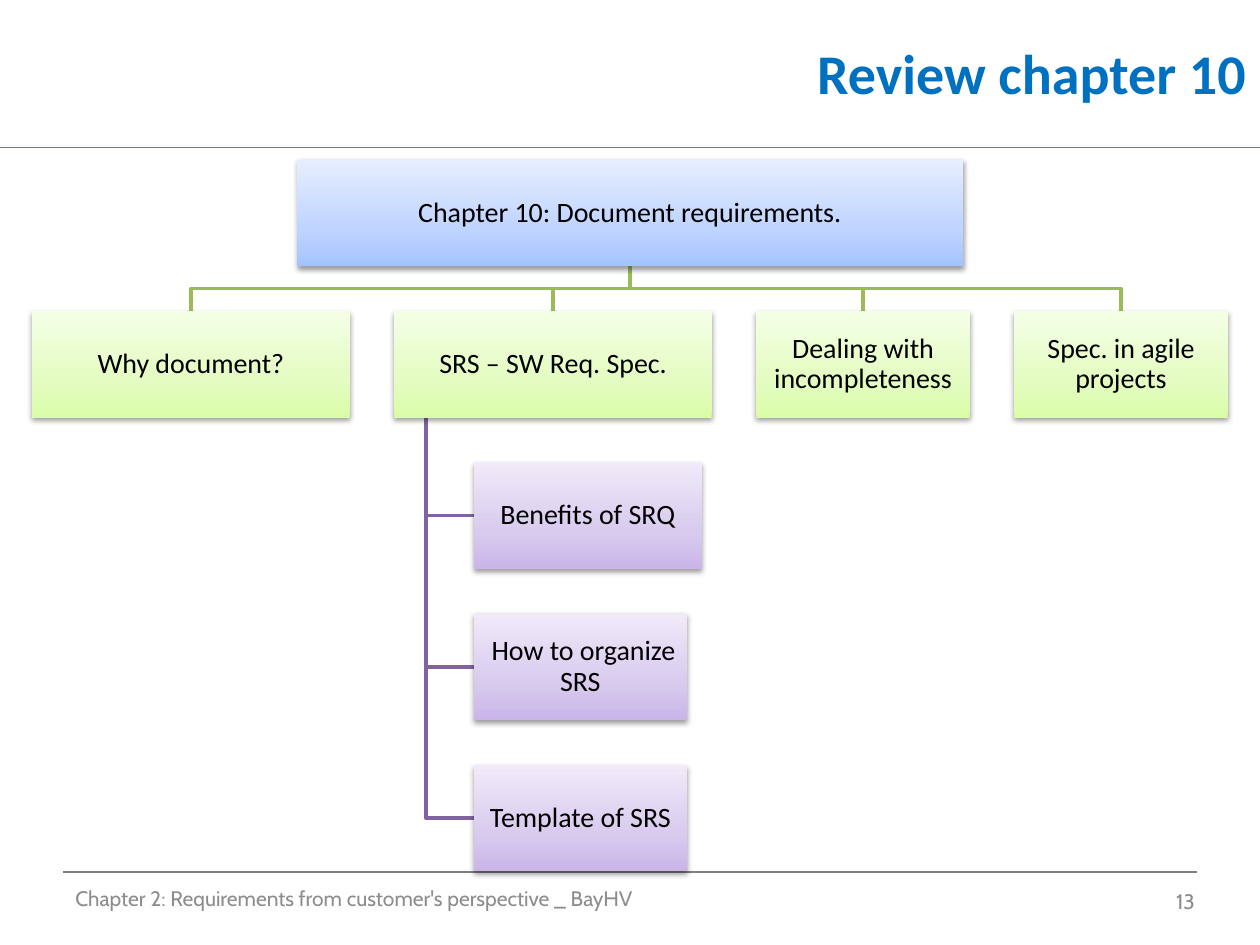
from copy import deepcopy

from lxml import etree
from pptx import Presentation
from pptx.dml.color import RGBColor
from pptx.enum.shapes import MSO_CONNECTOR, MSO_SHAPE
from pptx.enum.text import MSO_ANCHOR, PP_ALIGN
from pptx.oxml.ns import qn
from pptx.util import Cm, Pt

LEFT, MID, RIGHT = PP_ALIGN.LEFT, PP_ALIGN.CENTER, PP_ALIGN.RIGHT
MIDDLE = MSO_ANCHOR.MIDDLE
RECT, STRAIGHT = MSO_SHAPE.RECTANGLE, MSO_CONNECTOR.STRAIGHT

# Content: box text and width in cm
TITLE = "Review chapter 10"
ROOT = ("Chapter 10: Document requirements.", 13.44)
TOPICS = [
    ("Why document?", 6.4),
    ("SRS – SW Req. Spec.", 6.4),
    ("Dealing with incompleteness", 4.3),
    ("Spec. in agile projects", 4.3),
]
PARTS = [
    ("Benefits of SRQ", 4.6),
    (" How to organize SRS", 4.3),
    ("Template of SRS", 4.3),
]
OWNER = 1  # topic that the parts hang from
FOOTER = "Chapter 2: Requirements from customer's perspective _ BayHV"
NUMBER = "13"

# Gradients from bottom to top, and branch colours
BLUE = ("A4C4FF", "BFD4FF", "E6EEFF")
GREEN = ("DAFDA7", "E4FCC2", "F5FFE7")
PURPLE = ("C9B5E8", "D8CBEE", "F0EAF9")
STOPS = (0, 0.35, 1)
OLIVE, VIOLET, GREY = "9BBB59", "8064A2", "8C8C8C"

# Grid in cm
WIDE, HIGH = 25.4, 19.05
TOP, TALL, GAP = 3.22, 2.15, 0.9
STEP = TALL + GAP

deck = Presentation()
deck.slide_width, deck.slide_height = Cm(WIDE), Cm(HIGH)
slide = deck.slides.add_slide(deck.slide_layouts[5])
shapes = slide.shapes


def color(code):
    return RGBColor.from_string(code)


def write(shape, text, size=16, font="Calibri", ink="000000", bold=False,
          align=MID, inset=0.03, space=None):
    frame = shape.text_frame
    frame.word_wrap = True
    frame.vertical_anchor = MIDDLE
    frame.margin_left = frame.margin_right = Cm(inset)
    frame.margin_top = frame.margin_bottom = Cm(min(inset, 0.13))
    para = frame.paragraphs[0]
    para.alignment = align
    para.line_spacing = space
    run = para.add_run()
    run.text = text
    run.font.size, run.font.name, run.font.bold = Pt(size), font, bold
    run.font.color.rgb = color(ink)


def rule(x1, x2, y, ink):
    line = shapes.add_connector(STRAIGHT, Cm(x1), Cm(y), Cm(x2), Cm(y))
    line.line.color.rgb = color(ink)
    line.line.width = Pt(0.75)
    etree.SubElement(line._element.spPr, qn("a:effectLst"))


def branch(points, ink):
    spots = [(Cm(x), Cm(y)) for x, y in points]
    pen = shapes.build_freeform(*spots[0])
    pen.add_line_segments(spots[1:], close=False)
    path = pen.convert_to_shape()
    path.fill.background()
    path.line.color.rgb = color(ink)
    path.line.width = Pt(2)
    path.shadow.inherit = False


def shade(shape):
    shape.shadow.inherit = False
    effects = shape._element.spPr.find(qn("a:effectLst"))
    outer = etree.SubElement(effects, qn("a:outerShdw"), blurRad="40000",
                             dist="20000", dir="5400000", rotWithShape="0")
    black = etree.SubElement(outer, qn("a:srgbClr"), val="000000")
    etree.SubElement(black, qn("a:alpha"), val="38000")


def box(item, x, y, tones):
    text, width = item
    shape = shapes.add_shape(RECT, Cm(x), Cm(y), Cm(width), Cm(TALL))
    shape.line.fill.background()
    shape.fill.gradient()
    shape.fill.gradient_angle = 90
    stops = shape._element.spPr.find(".//" + qn("a:gsLst"))
    stops.append(deepcopy(stops[0]))
    for stop, spot, tone in zip(shape.fill.gradient_stops, STOPS, tones):
        stop.position = spot
        stop.color.rgb = color(tone)
    shade(shape)
    write(shape, text, space=0.9)


# Title and rules
title = shapes.title
title.left, title.top, title.width, title.height = (
    Cm(7.37), Cm(0), Cm(18), Cm(2.92))
write(title, TITLE, size=32, ink="0070C0", bold=True, align=RIGHT, inset=0.25)
rule(0, WIDE, 2.97, "4B7EBC")
rule(1.27, WIDE - 1.27, 17.58, "808080")

# Footer
for text, x, y, width, align in [
    (FOOTER, 1.27, 17.6, 16.94, LEFT),
    (NUMBER, 18.42, 17.65, 5.92, RIGHT),
]:
    note = shapes.add_textbox(Cm(x), Cm(y), Cm(width), Cm(1.02))
    write(note, text, size=12, font="Cabin", ink=GREY, align=align, inset=0.25)

# Places: topics centred in a row, parts stacked under their owner
row = TOP + STEP
span = sum(width for _, width in TOPICS) + GAP * (len(TOPICS) - 1)
lefts = [(WIDE - span) / 2]
for _, width in TOPICS[:-1]:
    lefts.append(lefts[-1] + width + GAP)
spine = lefts[OWNER] + TOPICS[OWNER][1] * 0.1
inner = lefts[OWNER] + TOPICS[OWNER][1] * 0.25
tops = [row + STEP * (i + 1) for i in range(len(PARTS))]

# Branches, behind the boxes
for x, (_, width) in zip(lefts, TOPICS):
    end, bend = x + width / 2, row - GAP / 2
    branch([(WIDE / 2, TOP + TALL), (WIDE / 2, bend), (end, bend), (end, row)],
           OLIVE)
for y in tops:
    half = y + TALL / 2
    branch([(spine, row + TALL), (spine, half), (inner, half)], VIOLET)

# Boxes
box(ROOT, (WIDE - ROOT[1]) / 2, TOP, BLUE)
for x, topic in zip(lefts, TOPICS):
    box(topic, x, row, GREEN)
for y, part in zip(tops, PARTS):
    box(part, inner, y, PURPLE)

deck.save("out.pptx")
